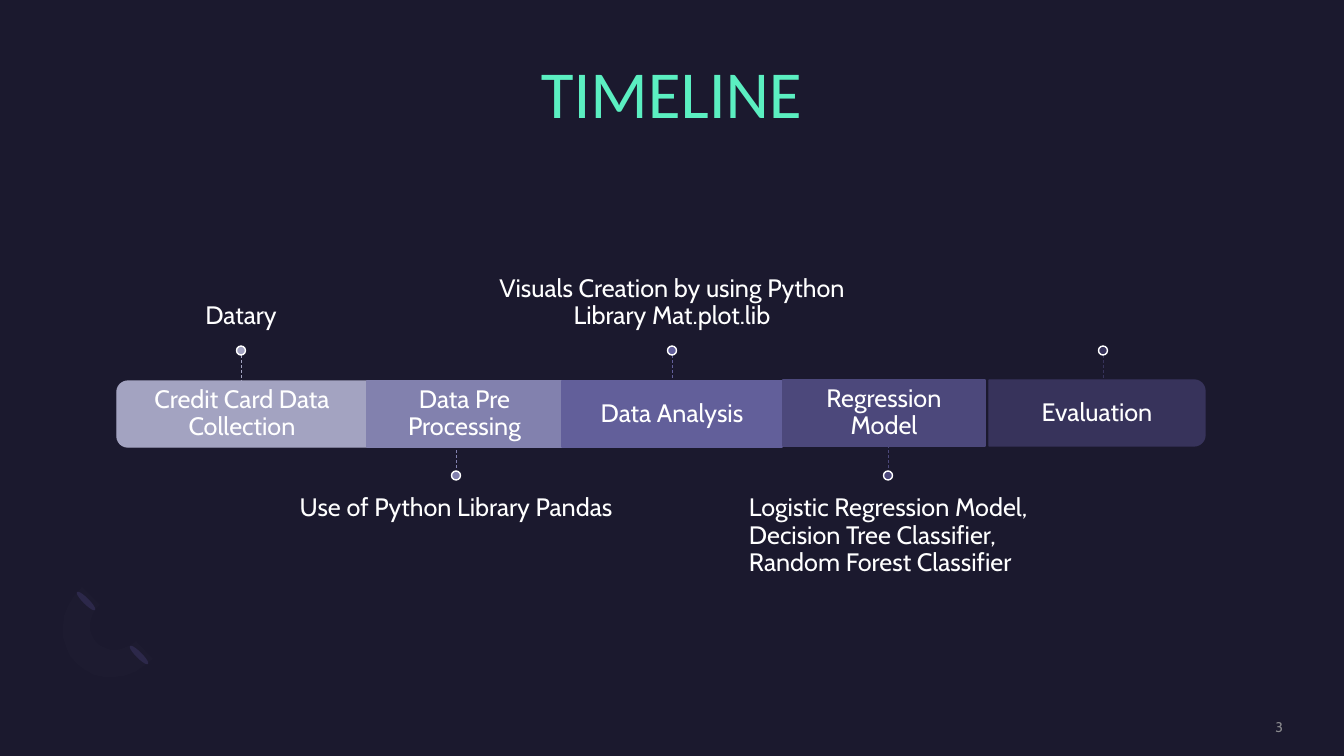
from dataclasses import dataclass

from lxml import etree
from pptx import Presentation
from pptx import util as u
from pptx.dml.color import RGBColor
from pptx.enum import dml, shapes, text
from pptx.oxml.ns import qn


@dataclass(frozen=True)
class Theme:
    background: str = "1B192E"
    title: str = "5BEFC1"
    body: str = "FFFFFF"
    number: str = "8A8A8E"
    petal: str = "2C284A"
    arc: str = "1D1B30"
    bars: tuple = ("A3A3C1", "8281AE", "625F9A", "4C487B", "37335B")
    title_font: str = "Calibri"
    body_font: str = "Cabin"
    title_size: int = 48
    body_size: int = 18
    number_size: int = 10


theme = Theme()
PX = u.Inches(1) / 100.8
SHAPE = shapes.MSO_SHAPE
ALIGN = text.PP_ALIGN
ANCHOR = text.MSO_ANCHOR


def draw(kind, area, fill, line=None):
    shape = page.shapes.add_shape(kind, *[u.Emu(v * PX) for v in area])
    shape.shadow.inherit = False
    shape.fill.solid()
    shape.fill.fore_color.rgb = RGBColor.from_string(fill)
    if line:
        shape.line.color.rgb = RGBColor.from_string(line)
        shape.line.width = u.Pt(1)
    else:
        shape.line.fill.background()
    return shape


def write(words, area, color=theme.body, size=theme.body_size, font=theme.body_font,
          align=ALIGN.CENTER, anchor=ANCHOR.TOP, insets=(0, 0, 0, 0), spacing=0.9):
    box = page.shapes.add_textbox(*[u.Emu(v * PX) for v in area])
    frame = box.text_frame
    frame.word_wrap = True
    frame.vertical_anchor = anchor
    (frame.margin_left, frame.margin_top,
     frame.margin_right, frame.margin_bottom) = [u.Emu(v * PX) for v in insets]
    para = frame.paragraphs[0]
    para.text = words
    para.alignment = align
    para.line_spacing = spacing
    para.font.name = font
    para.font.size = u.Pt(size)
    para.font.color.rgb = RGBColor.from_string(color)


deck = Presentation()
deck.slide_width = u.Emu(1344 * PX)
deck.slide_height = u.Emu(756 * PX)
page = deck.slides.add_slide(deck.slide_layouts[6])
page.background.fill.solid()
page.background.fill.fore_color.rgb = RGBColor.from_string(theme.background)

arc_curves = [
    ((77, 664), (56, 644), (58, 610), (82, 587)),
    ((100, 605), (88, 616), (87, 634), (97, 643)),
    ((97, 643), (107, 653), (124, 652), (136, 641)),
    ((153, 659), (131, 681), (96, 684), (77, 664)),
]
STEPS = 8
arc_points = []
for curve in arc_curves:
    for step in range(STEPS + 1):
        t = step / STEPS
        weights = ((1 - t) ** 3, 3 * t * (1 - t) ** 2, 3 * t * t * (1 - t), t ** 3)
        arc_points.append([sum(w * point[axis] for w, point in zip(weights, curve))
                           for axis in (0, 1)])
builder = page.shapes.build_freeform(*arc_points[0], scale=PX)
builder.add_line_segments(arc_points[1:], close=True)
arc = builder.convert_to_shape()
arc.shadow.inherit = False
arc.fill.solid()
arc.fill.fore_color.rgb = RGBColor.from_string(theme.arc)
arc.line.fill.background()

for left, top in ((136, 642), (83, 588)):
    petal = draw(SHAPE.OVAL, (left, top, 6, 26), theme.petal)
    petal.rotation = 135

write("TIMELINE", (60, 60, 1223, 81), theme.title, theme.title_size, theme.title_font)

BAR_HEIGHT = 66
FIRST_PIN, PIN_GAP = 241, 215.5
DOT = 9
timeline = [
    ("Credit Card Data Collection", 117, 381, 250, 270, "Datary"),
    ("Data Pre Processing", 367, 381, 195, None, "Use of Python Library Pandas"),
    ("Data Analysis", 562, 381, 220, None,
     "Visuals Creation by using Python Library Mat.plot.lib"),
    ("Regression Model", 783, 380, 202, None,
     "Logistic Regression Model, Decision Tree Classifier, Random Forest Classifier"),
    ("Evaluation", 989, 380, 216, 90, ""),
]

for index, (name, left, top, width, turn, note) in enumerate(timeline):
    color = theme.bars[index]
    pin = round(FIRST_PIN + index * PIN_GAP)
    above = index % 2 == 0

    if turn is None:
        draw(SHAPE.RECTANGLE, (left, top, width, BAR_HEIGHT), color, color)
    else:
        inset = (width - BAR_HEIGHT) / 2
        end_bar = draw(SHAPE.ROUND_2_SAME_RECTANGLE,
                       (left + inset, top - inset, BAR_HEIGHT, width), color, color)
        end_bar.rotation = turn
    write(name, (left, top, width, BAR_HEIGHT), anchor=ANCHOR.MIDDLE,
          insets=(15, 15, 15, 15))

    if index == 3:
        write(note, (749, 480, 302, 156), align=ALIGN.LEFT, insets=(0, 15, 0, 0))
    elif note and above:
        write(note, (pin - 180, 189, 360, 156), anchor=ANCHOR.BOTTOM,
              insets=(0, 0, 0, 15))
    elif note:
        write(note, (pin - 180, 480, 360, 156), insets=(0, 15, 0, 0))

    stem_top = 355 if above else 435
    stem = page.shapes.add_connector(
        shapes.MSO_CONNECTOR.STRAIGHT,
        *[u.Emu(v * PX) for v in (pin, stem_top, pin, stem_top + 35)])
    stem.line.color.rgb = RGBColor.from_string(color)
    stem.line.width = u.Pt(0.5)
    stem.line.dash_style = dml.MSO_LINE.DASH
    etree.SubElement(stem._element.spPr, qn("a:effectLst"))
    draw(SHAPE.OVAL, (pin - DOT / 2, 346 if above else 471, DOT, DOT), color, theme.body)

write("3", (1097, 718, 186, 17), theme.number, theme.number_size,
      align=ALIGN.RIGHT, anchor=ANCHOR.MIDDLE, spacing=1.0)

deck.save("out.pptx")
